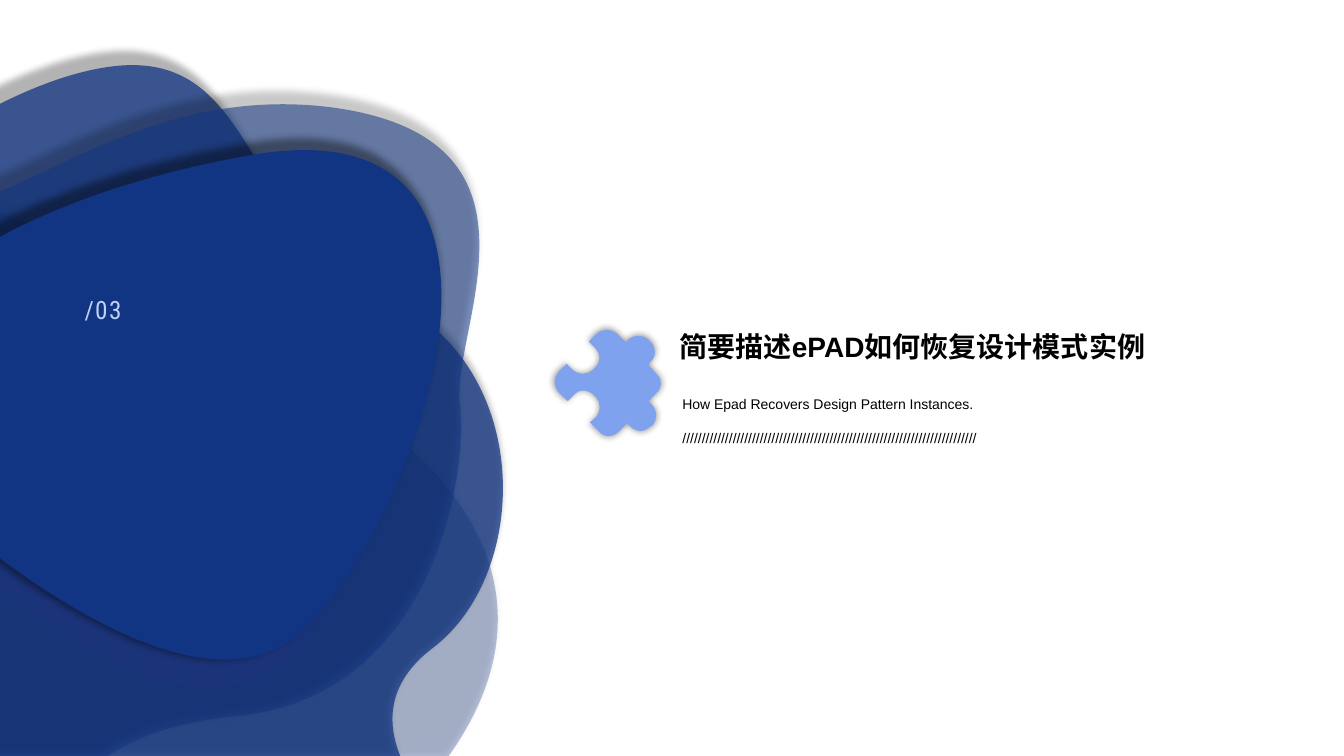
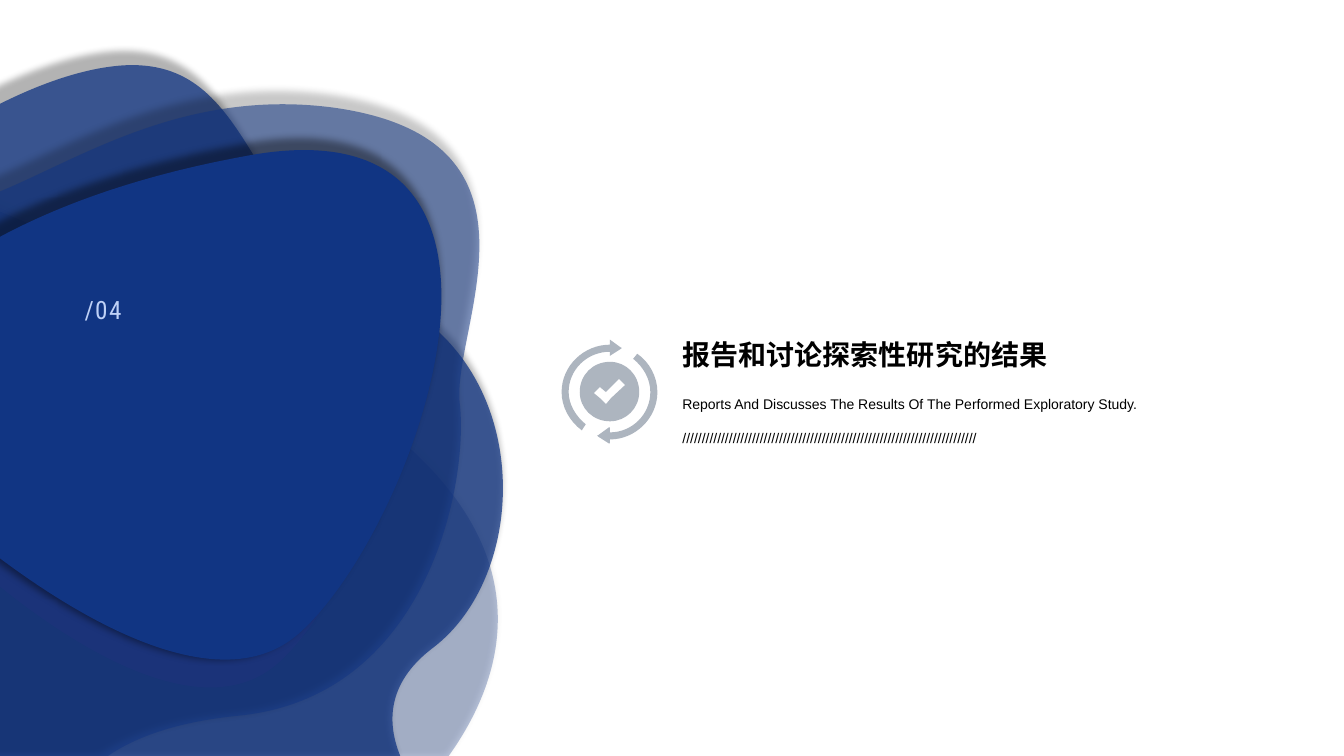
from dataclasses import dataclass
from itertools import chain

from lxml.etree import SubElement
from pptx import Presentation
from pptx.dml.color import RGBColor as Rgb
from pptx.enum.text import MSO_ANCHOR as Anchor, MSO_AUTO_SIZE as AutoSize, PP_ALIGN as Align
from pptx.oxml.ns import qn
from pptx.util import Inches, Pt


@dataclass(frozen=True)
class Theme:
    """Colours, fonts and type sizes shared by the section slides."""

    navy: str = "113583"
    indigo: str = "263183"
    pale: str = "BFD1F7"
    sky: str = "7FA2EE"
    steel: str = "ADB5BF"
    black: str = "000000"
    font: str = "Arial"
    number_font: str = "Roboto Condensed"
    title_size: int = 20
    number_size: int = 18
    body_size: int = 10


THEME = Theme()
RULE = "/" * 76

BLOBS = [
    ("M 0 7.5 L 4.45 7.5 C 5.05 6.66 5.42 5.34 3.55 4.04 C 2.19 3.09 0.96 2.48 0 2.1 L 0 7.5 Z",
     THEME.navy, 30, "br"),
    ("M 0 7.5 L 3.97 7.5 C 3.84 7.18 3.83 6.78 4.29 6.43 C 5.26 5.7 5.31 3.65 3.86 2.96 "
     "C 2.4 2.27 2.57 0.55 1.2 0.65 C 0.82 0.68 0.4 0.83 0 1.03 L 0 7.5 Z",
     THEME.navy, 75, "br"),
    ("M 2.37 7.1 C 4.27 6.91 4.65 4.75 4.56 4 C 4.48 3.25 5.57 1.39 3.32 1.07 "
     "C 1.85 0.87 0.8 1.57 0 1.9 L 0 7.5 L 1.07 7.5 C 1.35 7.31 1.76 7.16 2.37 7.1 Z",
     THEME.navy, 54, "br"),
    ("M 0 5.82 C 0.77 6.44 2.06 7.25 2.79 6.55 C 3.88 5.52 5.31 1.21 2.27 1.83 "
     "C 1.25 2.03 0.52 2.33 0 2.63 L 0 5.82 Z",
     THEME.indigo, 28, None),
    ("M 0 5.54 C 0.83 6.16 2.2 6.97 2.97 6.28 C 4.14 5.24 5.68 0.93 2.43 1.55 "
     "C 1.34 1.75 0.56 2.05 0 2.35 L 0 5.54 Z",
     THEME.navy, 100, "br"),
]

PUZZLE = (
    "M 6.51 3.71 L 6.43 3.62 L 6.45 3.59 C 6.51 3.54 6.51 3.45 6.45 3.39 L 6.43 3.37 "
    "C 6.38 3.32 6.29 3.32 6.23 3.37 L 6.21 3.4 L 6.12 3.31 C 6.06 3.26 5.98 3.26 5.92 3.31 "
    "L 5.84 3.39 L 5.9 3.45 C 5.96 3.51 5.96 3.6 5.9 3.65 L 5.88 3.67 "
    "C 5.83 3.72 5.74 3.72 5.68 3.67 L 5.62 3.61 L 5.54 3.69 C 5.49 3.74 5.49 3.83 5.54 3.89 "
    "L 5.63 3.98 L 5.69 3.92 C 5.74 3.86 5.83 3.86 5.89 3.92 L 5.91 3.94 "
    "C 5.96 3.99 5.96 4.08 5.91 4.14 L 5.85 4.19 L 5.94 4.28 C 5.99 4.34 6.08 4.34 6.14 4.28 "
    "L 6.22 4.2 L 6.25 4.23 C 6.31 4.29 6.39 4.29 6.45 4.23 L 6.47 4.22 "
    "C 6.52 4.16 6.52 4.07 6.47 4.02 L 6.43 3.98 L 6.51 3.9 C 6.57 3.85 6.57 3.76 6.51 3.71 Z"
)

CHECK_CYCLE = (
    "M 6.14 3.76 L 6.01 3.89 L 5.95 3.84 L 5.89 3.9 L 5.95 3.95 L 6.01 4.01 L 6.06 3.95 "
    "L 6.2 3.82 Z "
    "M 6.05 3.59 C 6.21 3.59 6.34 3.72 6.34 3.89 C 6.34 4.05 6.21 4.18 6.05 4.18 "
    "C 5.88 4.18 5.75 4.05 5.75 3.89 C 5.75 3.72 5.88 3.59 6.05 3.59 Z "
    "M 6.32 3.51 C 6.44 3.59 6.52 3.74 6.52 3.89 C 6.52 4.15 6.3 4.36 6.05 4.36 L 6.05 4.4 "
    "L 6.04 4.4 L 5.93 4.33 C 5.92 4.32 5.92 4.32 5.93 4.32 L 6.04 4.24 L 6.05 4.24 "
    "L 6.05 4.29 C 6.27 4.29 6.45 4.11 6.45 3.89 C 6.45 3.76 6.38 3.64 6.28 3.56 Z "
    "M 6.05 3.37 L 6.16 3.45 C 6.17 3.45 6.17 3.45 6.16 3.46 L 6.05 3.53 L 6.05 3.49 "
    "C 5.82 3.49 5.64 3.67 5.64 3.89 C 5.64 4.01 5.71 4.13 5.81 4.21 L 5.77 4.27 "
    "C 5.65 4.18 5.57 4.04 5.57 3.89 C 5.57 3.63 5.79 3.42 6.05 3.42 Z"
)

SECTIONS = [
    {"number": "/03", "title": "简要描述ePAD如何恢复设计模式实例", "title_at": (6.64, 3.26, 5.93, 0.49),
     "subtitle": "How Epad Recovers Design Pattern Instances.",
     "icon": (PUZZLE, THEME.sky, 100, "ctr")},
    {"number": "/04", "title": "报告和讨论探索性研究的结果", "title_at": (6.67, 3.34, 6.36, 0.49),
     "subtitle": "Reports And Discusses The Results Of The Performed Exploratory Study.",
     "icon": (CHECK_CYCLE, THEME.steel, 100, None)},
]


def set_all(target, values):
    """Set each named attribute of the target."""
    for name, value in values.items():
        setattr(target, name, value)


def read_contours(outline):
    """Turn an outline into contours: a start, then segments of one or three points."""
    contours = []
    for contour in outline.replace("M", "").split("Z"):
        if contour.strip():
            segments = []
            for segment in contour.replace("C", "L").split("L"):
                lengths = [Inches(float(word)) for word in segment.split()]
                segments.append(list(zip(lengths[::2], lengths[1::2])))
            contours.append(segments)
    return contours


def bend(shape, segments):
    """Turn each run of three control points into one cubic curve."""
    corners = iter(list(shape._element.spPr.iter(qn("a:lnTo"))))
    for segment in segments:
        controls = [next(corners) for _ in segment]
        if len(controls) == 3:
            curve = controls[0].makeelement(qn("a:cubicBezTo"))
            controls[0].addprevious(curve)
            for control in controls:
                curve.append(control[0])
                control.getparent().remove(control)


def add_shadow(shape, anchor):
    """Give the shape a soft shadow, slightly enlarged from the anchor."""
    effects = shape._element.spPr.find(qn("a:effectLst"))
    shadow = SubElement(effects, qn("a:outerShdw"), blurRad=str(Pt(5)), sx="102000", sy="102000",
                        algn=anchor, rotWithShape="0")
    color = SubElement(shadow, qn("a:srgbClr"), val=THEME.black)
    SubElement(color, qn("a:alpha"), val="40000")


def add_outline(shapes, outline, color, opacity, shadow_anchor):
    """Draw a filled outline with optional transparency and shadow."""
    contours = read_contours(outline)
    builder = shapes.build_freeform(*contours[0][0][0])
    for index, (start, *segments) in enumerate(contours):
        if index:
            builder.move_to(*start[0])
        builder.add_line_segments(list(chain.from_iterable(segments)), close=True)
    shape = builder.convert_to_shape()
    bend(shape, chain.from_iterable(segments for _, *segments in contours))
    shape.fill.solid()
    shape.fill.fore_color.rgb = Rgb.from_string(color)
    shape.line.fill.background()
    shape.shadow.inherit = False
    if opacity < 100:
        fill_color = shape._element.spPr.find(qn("a:solidFill")).find(qn("a:srgbClr"))
        SubElement(fill_color, qn("a:alpha"), val=str(opacity * 1000))
    if shadow_anchor:
        add_shadow(shape, shadow_anchor)


def write(holder, text, font, color=THEME.black, paragraph_format=None, frame_format=None,
          tracking=None):
    """Write one formatted line into a text holder."""
    frame = holder.text_frame
    set_all(frame, {"word_wrap": True, "auto_size": AutoSize.NONE, "vertical_anchor": Anchor.TOP,
                    **(frame_format or {})})
    paragraph = frame.paragraphs[0]
    set_all(paragraph, {"alignment": Align.LEFT, **(paragraph_format or {})})
    run = paragraph.add_run()
    run.text = text
    set_all(run.font, font)
    run.font.color.rgb = Rgb.from_string(color)
    if tracking:
        run._r.get_or_add_rPr().set("spc", str(tracking * 100))


def add_title(slide, text, at):
    """Place and format the slide title."""
    title = slide.shapes.title
    set_all(title, dict(zip(("left", "top", "width", "height"), map(Inches, at))))
    write(title, text, {"name": THEME.font, "size": Pt(THEME.title_size), "bold": True},
          paragraph_format={"line_spacing": 0.9})


def add_text(slide, text, at, font, **options):
    """Add a text box with one line."""
    write(slide.shapes.add_textbox(*map(Inches, at)), text, font, **options)


def add_section(deck, section):
    """Build one section divider slide."""
    slide = deck.slides.add_slide(deck.slide_layouts[5])
    backdrop = slide.shapes.add_group_shape()
    for blob in BLOBS:
        add_outline(backdrop.shapes, *blob)
    add_title(slide, section["title"], section["title_at"])
    add_text(slide, section["number"], (0.74, 2.87, 2.34, 2.04),
             {"name": THEME.number_font, "size": Pt(THEME.number_size)},
             color=THEME.pale, tracking=1,
             frame_format={"word_wrap": False, "auto_size": AutoSize.SHAPE_TO_FIT_TEXT})
    add_outline(slide.shapes, *section["icon"])
    body_font = {"name": THEME.font, "size": Pt(THEME.body_size)}
    body_format = {"line_spacing": 0.9, "space_before": Pt(10)}
    add_text(slide, section["subtitle"], (6.67, 3.89, 5.93, 0.41), body_font,
             paragraph_format=body_format)
    add_text(slide, RULE, (6.67, 4.23, 5.68, 0.41), body_font,
             paragraph_format={**body_format, "alignment": Align.JUSTIFY})


def main():
    """Build and save the deck."""
    deck = Presentation()
    set_all(deck, {"slide_width": Inches(13.33), "slide_height": Inches(7.5)})
    for section in SECTIONS:
        add_section(deck, section)
    deck.save("out.pptx")


if __name__ == "__main__":
    main()
